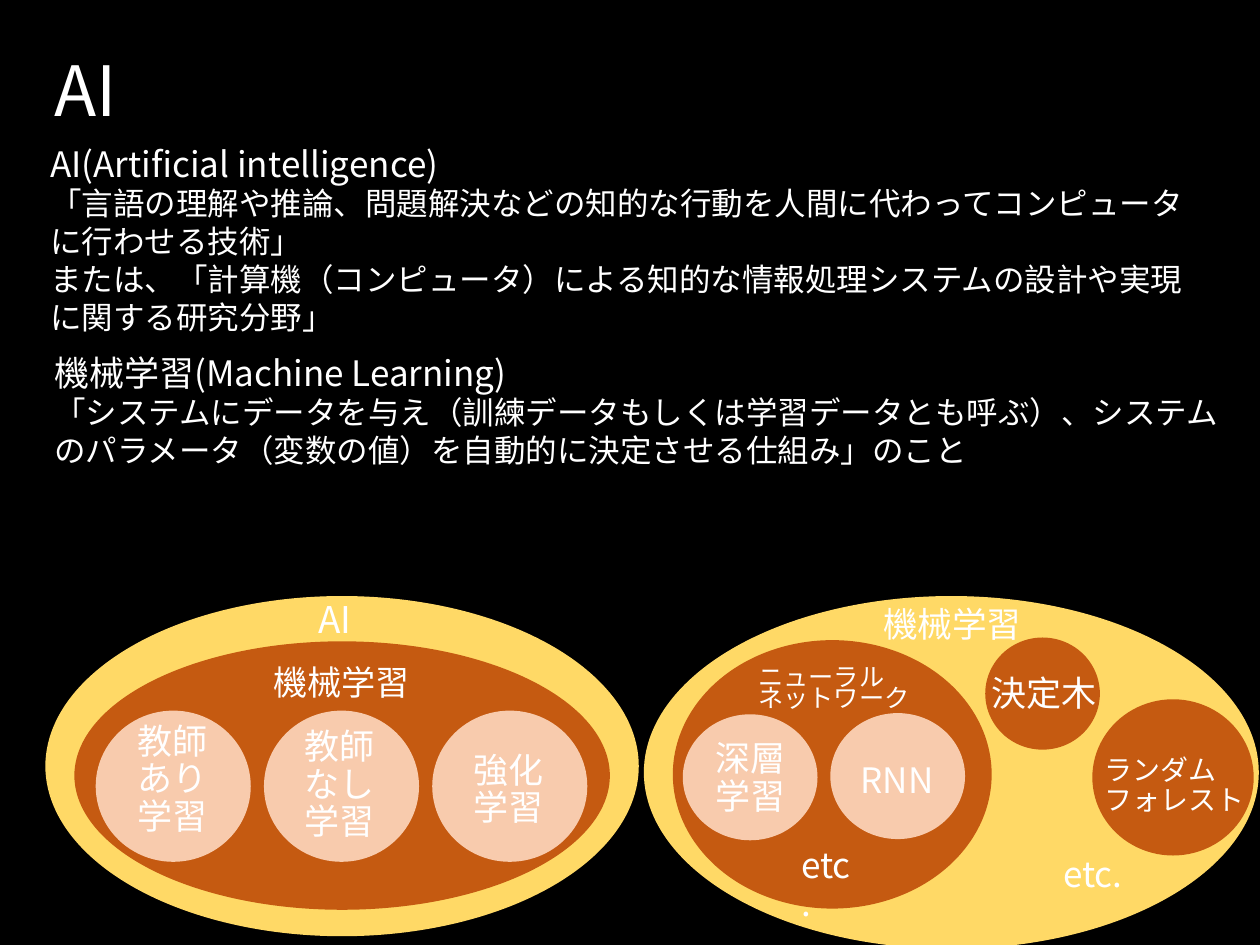
from lxml.etree import SubElement
from pptx import Presentation
from pptx.dml.color import RGBColor
from pptx.enum.shapes import MSO_SHAPE
from pptx.enum.text import MSO_ANCHOR, MSO_AUTO_SIZE, PP_ALIGN
from pptx.oxml.ns import qn
from pptx.util import Pt

FONT = "Noto Sans CJK JP"
WHITE, BLACK = "FFFFFF", "000000"
GOLD, RUST, PEACH = "FFD966", "C55A11", "F8CBAD"

INTRO = [
    ("AI(Artificial intelligence)", 20),
    ("「言語の理解や推論、問題解決などの知的な行動を人間に代わってコンピュータに行わせる技術」", 18),
    ("または、「計算機（コンピュータ）による知的な情報処理システムの設計や実現に関する研究分野」", 18),
]
LEARN = [
    ("機械学習(Machine Learning)", 20),
    ("「システムにデータを与え（訓練データもしくは学習データとも呼ぶ）、システムのパラメータ（変数の値）を自動的に決定させる仕組み」のこと", 18),
]

AI_OVALS = [
    ((25.9, 340.6, 339.1, 194.4), GOLD),
    ((42.5, 366.5, 306, 153.4), RUST),
] + [((54.7 + 96.15 * i, 406.1, 88.6, 86.4), PEACH) for i in range(3)]
AI_LABELS = [
    ((175, 343.4, 48.2, 26.6), ["AI"], 21, 0.7),
    ((149, 375.8, 105.1, 30.2), ["機械学習"], 19.5, 0.9),
    ((71.3, 431.3, 73.4, 29.5), ["教師あり", "学習"], 20, 0.9),
    ((167, 434.2, 73.4, 29.5), ["教師なし", "学習"], 20, 0.9),
    ((263.5, 437, 56.2, 29.5), ["強化学習"], 20, 0.9),
]

ML_OVALS = [
    ((367.9, 340.6, 351.4, 201.6), GOLD),
    ((384.5, 365.8, 182.2, 153.4), RUST),
    ((390.2, 408.2, 77, 72), PEACH),
    ((474.5, 407.5, 77, 72), PEACH),
    ((563, 364.3, 65.5, 64.1), RUST),
    ((624.2, 399.6, 92.2, 89.3), RUST),
]
ML_LABELS = [
    ((497.5, 344.9, 97.2, 27.4), ["機械学習"], 19.8, 0.8),
    ((426.2, 378, 108.7, 33.8), ["ニューラル", "ネットワーク"], 14.4, 0.7),
    ((401.8, 421.9, 69.1, 46.8), ["深層学習"], 20, 0.9),
    ((559.4, 382.3, 82.8, 30.2), ["決定木"], 20, 0.9),
    ((624.2, 434.2, 100.1, 30.2), ["ランダム", "フォレスト"], 16, 0.9),
    ((484.6, 429.8, 63.4, 33.8), ["RNN"], 20, 0.9),
    ((450.7, 489.6, 47.5, 33.8), ["etc."], 20, 0.9),
    ((600.5, 480.2, 56.9, 41), ["etc."], 20, 0.9),
]


def apply(item, form):
    for key, val in form.items():
        setattr(item, key, val)


def paint(fill, color):
    fill.solid()
    fill.fore_color.rgb = RGBColor.from_string(color)


def place(box):
    return [Pt(n) for n in box]


def write(frame, lines, space, anchor, fit):
    apply(frame, {"word_wrap": True, "vertical_anchor": anchor, "auto_size": fit})
    for i, (text, size) in enumerate(lines):
        para = frame.add_paragraph() if i else frame.paragraphs[0]
        apply(para, {"alignment": PP_ALIGN.LEFT, "line_spacing": space,
                     "space_before": Pt(0), "space_after": Pt(0)})
        run = para.add_run()
        run.text = text
        apply(run.font, {"name": FONT, "size": Pt(size)})
        paint(run.font.fill, WHITE)
        SubElement(run.font._element, qn("a:ea"), typeface=FONT)


def add_title(slide, box, text, size):
    title = slide.shapes.title
    apply(title, dict(zip(("left", "top", "width", "height"), place(box))))
    write(title.text_frame, [(text, size)], 0.9, MSO_ANCHOR.MIDDLE, MSO_AUTO_SIZE.NONE)


def add_body(slide, box, lines):
    body = slide.shapes.add_textbox(*place(box))
    write(body.text_frame, lines, 1.0, MSO_ANCHOR.TOP, MSO_AUTO_SIZE.SHAPE_TO_FIT_TEXT)


def add_oval(group, box, color):
    oval = group.shapes.add_shape(MSO_SHAPE.OVAL, *place(box))
    oval.shadow.inherit = False
    paint(oval.fill, color)
    oval.line.fill.background()


def add_label(group, box, texts, size, space):
    label = group.shapes.add_textbox(*place(box))
    lines = [(text, size) for text in texts]
    write(label.text_frame, lines, space, MSO_ANCHOR.MIDDLE, MSO_AUTO_SIZE.NONE)


def add_venn(slide, ovals, labels):
    group = slide.shapes.add_group_shape()
    for oval in ovals:
        add_oval(group, *oval)
    for label in labels:
        add_label(group, *label)


def main():
    deck = Presentation()
    apply(deck, {"slide_width": Pt(720), "slide_height": Pt(540)})
    slide = deck.slides.add_slide(deck.slide_layouts[5])
    paint(slide.background.fill, BLACK)
    add_title(slide, (23.8, 28.8, 674.6, 50.4), "AI", 39.6)
    add_body(slide, (21.6, 77.8, 670.3, 118.8), INTRO)
    add_body(slide, (23.8, 197.3, 684.7, 74.9), LEARN)
    add_venn(slide, AI_OVALS, AI_LABELS)
    add_venn(slide, ML_OVALS, ML_LABELS)
    deck.save("out.pptx")


main()
